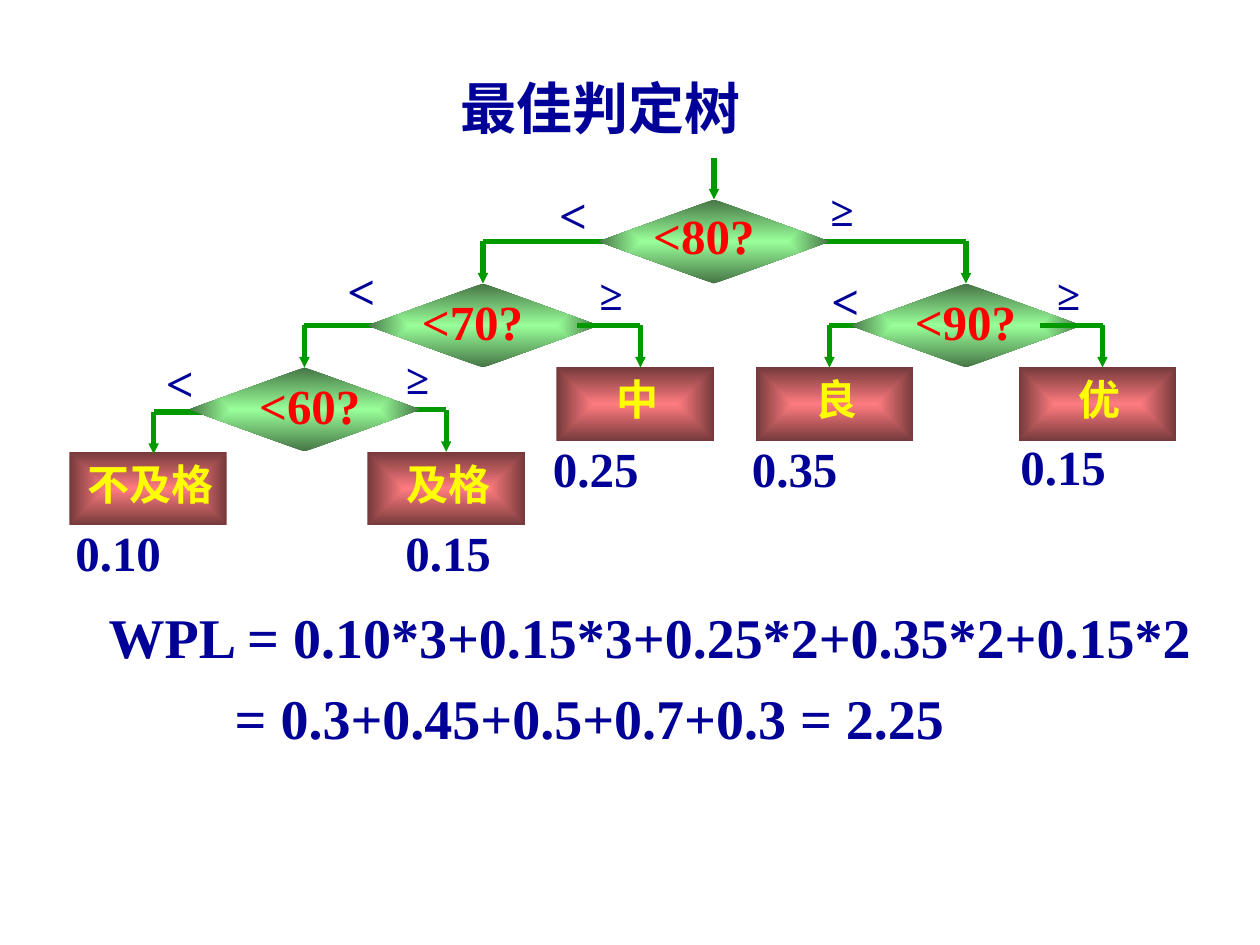
from lxml.etree import SubElement
from pptx import Presentation
from pptx.dml.color import RGBColor
from pptx.enum.shapes import MSO_CONNECTOR, MSO_SHAPE
from pptx.enum.text import MSO_ANCHOR, MSO_AUTO_SIZE, PP_ALIGN
from pptx.oxml.ns import qn
from pptx.util import Pt

FONT = "Times New Roman"
NAVY, GREEN, RED, YELLOW = "000099", "009900", "FF0000", "FFFF00"
DECISION_W, DECISION_H = 132, 48
LEAF_W, LEAF_H = 90, 42
DROP = 24

# question, left, top, shift of the question from the middle (right, down)
DECISIONS = [
    ("<60?", 108, 210, 3, 1),
    ("<70?", 210, 162, -6, 1),
    ("<80?", 342, 114, -5.8, 0),
    ("<90?", 486, 162, -0.3, 1),
]
# grade, left, top, weight, left and top of the weight
LEAVES = [
    ("不及格", 39.6, 258.2, "0.10", 32.5, 295),
    ("及格", 210, 258.2, "0.15", 221.1, 295),
    ("中", 318, 210, "0.25", 305.4, 247),
    ("良", 432, 210, "0.35", 419.1, 247),
    ("优", 582, 210, "0.15", 572.5, 246),
]
# start x, end x, y, child node
BRANCHES_BEHIND = [
    (498, 474, 186, "良"),
    (468, 552, 138, "<90?"),
    (219, 255, 234, "及格"),
    (222, 174, 186, "<60?"),
    (348, 276, 138, "<70?"),
    (123.8, 87.8, 235.4, "不及格"),
]
BRANCHES_IN_FRONT = [(330, 366, 186, "中"), (594, 630, 186, "优")]
LESS_MARKS = [(468, 151), (312.5, 102), (87.8, 198), (191.5, 145)]
MORE_MARKS = [(225, 198), (335.5, 150), (467.5, 102), (597, 150)]


def color(hex_string):
    return RGBColor.from_string(hex_string)


def format_text(tf, size, hex_color, align=PP_ALIGN.CENTER):
    tf.word_wrap = False
    tf.vertical_anchor = MSO_ANCHOR.MIDDLE
    for p in tf.paragraphs:
        p.alignment = align
        for r in p.runs:
            r.font.name, r.font.size, r.font.bold = FONT, Pt(size), True
            r.font.color.rgb = color(hex_color)


def add_label(s, text, x, y, w, h, size, hex_color, align=PP_ALIGN.CENTER):
    tf = s.shapes.add_textbox(Pt(x), Pt(y), Pt(w), Pt(h)).text_frame
    tf.text = text
    tf.auto_size = MSO_AUTO_SIZE.SHAPE_TO_FIT_TEXT
    format_text(tf, size, hex_color, align)
    return tf


def add_node(s, kind, x, y, w, h, inner, outer):
    """Add a borderless shape shaded from its centre to its edges."""
    sp = s.shapes.add_shape(kind, Pt(x), Pt(y), Pt(w), Pt(h))
    sp.shadow.inherit = False
    sp.line.fill.background()
    sp.fill.gradient()
    for stop, hex_color in zip(sp.fill.gradient_stops, (inner, outer)):
        stop.color.rgb = color(hex_color)
    grad = sp._element.spPr.find(qn("a:gradFill"))
    grad.remove(grad.find(qn("a:lin")))
    shade = SubElement(grad, qn("a:path"), {"path": "rect"})
    SubElement(shade, qn("a:fillToRect"), {side: "50000" for side in "ltrb"})
    return sp


def add_line(s, x1, y1, x2, y2, arrow=False):
    c = s.shapes.add_connector(MSO_CONNECTOR.STRAIGHT, Pt(x1), Pt(y1), Pt(x2), Pt(y2))
    c.line.color.rgb = color(GREEN)
    c.line.width = Pt(3)
    if arrow:
        SubElement(c.line._get_or_add_ln(), qn("a:tailEnd"),
                   {"type": "triangle", "w": "sm", "len": "sm"})
    SubElement(c._element.spPr, qn("a:effectLst"))
    return c


def add_drop(s, x, y, node):
    """Add a downward arrow, joined where it meets the middle of the node's top."""
    c = add_line(s, x, y, x, y + DROP, arrow=True)
    if abs(node.left + node.width / 2 - Pt(x)) < Pt(0.5):
        c.end_connect(node, 0)


def add_title(s, text, x, y, w, h):
    sp = s.shapes.title
    sp.left, sp.top, sp.width, sp.height = Pt(x), Pt(y), Pt(w), Pt(h)
    sp.text_frame.text = text
    format_text(sp.text_frame, 32, NAVY)


def add_tree(s, x, y):
    """Draw the decision tree with its origin at x, y."""
    nodes = {}
    for x1, x2, line_y, _ in BRANCHES_BEHIND:
        add_line(s, x + x1, y + line_y, x + x2, y + line_y)
    for question, left, top, *_ in DECISIONS:
        nodes[question] = add_node(s, MSO_SHAPE.FLOWCHART_DECISION, x + left, y + top,
                                   DECISION_W, DECISION_H, "99FF99", "467546")
    for grade, left, top, *_ in LEAVES:
        nodes[grade] = add_node(s, MSO_SHAPE.RECTANGLE, x + left, y + top,
                                LEAF_W, LEAF_H, "FF7C80", "75393B")
    for x1, x2, line_y, _ in BRANCHES_IN_FRONT:
        add_line(s, x + x1, y + line_y, x + x2, y + line_y)
    add_drop(s, x + 408, y + 90, nodes["<80?"])
    for _, x2, line_y, child in BRANCHES_BEHIND + BRANCHES_IN_FRONT:
        add_drop(s, x + x2, y + line_y, nodes[child])

    for question, left, top, right, down in DECISIONS:
        add_label(s, question, x + left + right, y + top + down, DECISION_W, 41, 28, RED)
    for grade, left, top, weight, weight_x, weight_y in LEAVES:
        add_label(s, grade, x + left + 1.2, y + top, LEAF_W, 36, 24, YELLOW)
        add_label(s, weight, x + weight_x, y + weight_y, 70, 41, 28, NAVY)
    for left, top in MORE_MARKS:
        add_label(s, "≥", x + left, y + top, 27, 36, 24, NAVY)
    for left, top in LESS_MARKS:
        add_label(s, "<", x + left, y + top, 30, 41, 28, NAVY)


def add_path_length(s, x, y, w, h):
    text = "WPL = 0.10*3+0.15*3+0.25*2+0.35*2+0.15*2\n= 0.3+0.45+0.5+0.7+0.3 = 2.25"
    tf = add_label(s, text, x, y, w, h, 32, NAVY, PP_ALIGN.LEFT)
    result = tf.paragraphs[1]
    result.space_before = Pt(8)
    result._p.get_or_add_pPr().set("marL", str(Pt(72)))


def main():
    prs = Presentation()
    prs.slide_width, prs.slide_height = Pt(720), Pt(540)
    s = prs.slides.add_slide(prs.slide_layouts[5])
    add_title(s, "最佳判定树", 253.4, 38, 180, 46)
    add_tree(s, 0, 0)
    add_path_length(s, 55, 340.5, 635, 92)
    prs.save("out.pptx")


if __name__ == "__main__":
    main()
